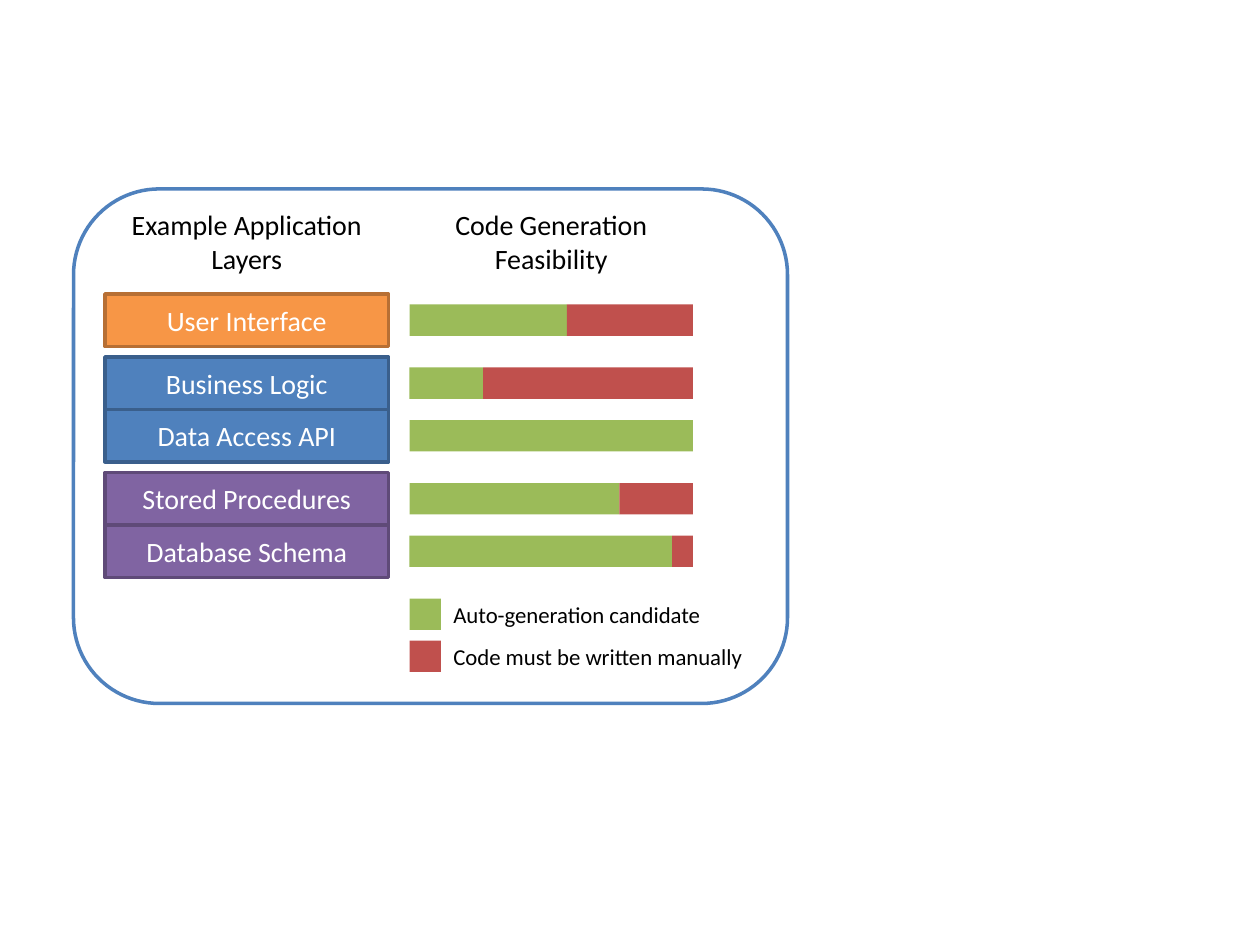
import pptx
import pptx.dml.color
import pptx.enum.shapes
import pptx.enum.text
import pptx.util

PX = 9525  # EMU per px at 96 px to the inch
SHAPE = pptx.enum.shapes.MSO_SHAPE
ALIGN = pptx.enum.text.PP_ALIGN
GREEN, RED, BLUE = "9BBB59", "C0504D", "4F81BD"
LAYER_X, BAR_X, COLUMN_W = 80, 312, 216
LAYER_H, BAR_H = 40, 24

prs = pptx.Presentation()
prs.slide_width, prs.slide_height = 960 * PX, 720 * PX
s = prs.slides.add_slide(prs.slide_layouts[6])


def rgb(color):
    return pptx.dml.color.RGBColor.from_string(color)


def add_box(x, y, w, h, fill=None, line=None, text="", size=16, color="000000",
            align=ALIGN.CENTER, kind=SHAPE.RECTANGLE):
    """Add a filled shape, or a plain text box when fill is None."""
    box = [n * PX for n in (x, y, w, h)]
    if fill:
        sp = s.shapes.add_shape(kind, *box)
        sp.shadow.inherit = False
        sp.fill.solid()
        sp.fill.fore_color.rgb = rgb(fill)
        if line:
            sp.line.color.rgb = rgb(line)
            sp.line.width = pptx.util.Pt(2)
        else:
            sp.line.fill.background()
    else:
        sp = s.shapes.add_textbox(*box)
    if text:
        tf = sp.text_frame
        tf.word_wrap = True
        tf.margin_top = tf.margin_bottom = 0
        tf.vertical_anchor = pptx.enum.text.MSO_ANCHOR.MIDDLE
        p = tf.paragraphs[0]
        p.alignment = align
        r = p.add_run()
        r.text = text
        r.font.name = "Calibri"
        r.font.size = pptx.util.Pt(size)
        r.font.color.rgb = rgb(color)


add_box(56, 144, 544, 392, "FFFFFF", BLUE, kind=SHAPE.ROUNDED_RECTANGLE)

for x, heading in [(LAYER_X, "Example Application Layers"),
                   (BAR_X, "Code Generation Feasibility")]:
    add_box(x, 160, COLUMN_W, 48, text=heading)

# Top, name, fill, outline and width of the generated share; lowest layer first
layers = [
    (400, "Database Schema", "8064A2", "5F4A78", 200),
    (360, "Stored Procedures", "8064A2", "5F4A78", 160),
    (312, "Data Access API", BLUE, "3A5F8C", COLUMN_W),
    (272, "Business Logic", BLUE, "3A5F8C", 56),
    (224, "User Interface", "F79646", "B76F34", 120),
]
for y, name, fill, line, auto_w in layers:
    add_box(LAYER_X, y, COLUMN_W, LAYER_H, fill, line, name, color="FFFFFF")
    bar_y = y + (LAYER_H - BAR_H) // 2
    add_box(BAR_X, bar_y, auto_w, BAR_H, GREEN)
    if auto_w < COLUMN_W:
        add_box(BAR_X + auto_w, bar_y, COLUMN_W - auto_w, BAR_H, RED)

for y, fill, label in [(456, GREEN, "Auto-generation candidate"),
                       (488, RED, "Code must be written manually")]:
    add_box(BAR_X, y, BAR_H, BAR_H, fill)
    add_box(BAR_X + BAR_H, y, 248, BAR_H, text=label, size=13, align=ALIGN.LEFT)

prs.save("out.pptx")
